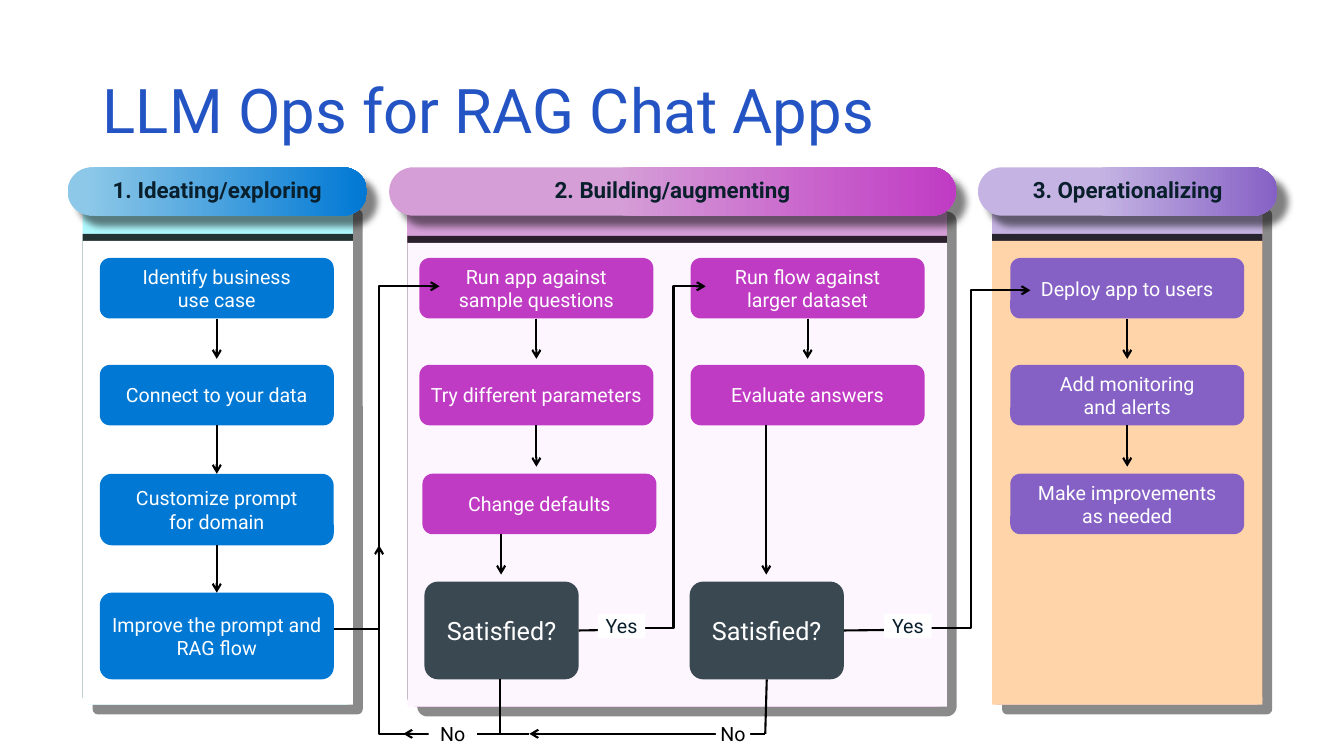
from dataclasses import dataclass

from lxml import etree
from pptx import Presentation
from pptx.dml.color import RGBColor
from pptx.enum import shapes, text
from pptx.oxml import ns
from pptx.util import Inches, Pt

FONT = "Roboto"
BLUE, MAGENTA, PURPLE, SLATE = "0078D4", "C03BC4", "8661C5", "3A4852"
WHITE, BLACK, NAVY = "FFFFFF", "000000", "091F2C"
ROUND = shapes.MSO_SHAPE.ROUNDED_RECTANGLE
BOX_WIDTH, BOX_HEIGHT = 2.32, 0.6
ROWS = (2.56, 3.62, 4.7)


@dataclass
class Panel:
    left: float
    top: float
    width: float
    backing: tuple[str, ...]
    body: str


@dataclass
class Heading:
    left: float
    width: float
    wording: str
    start: float
    colours: tuple[str, str]


@dataclass
class Step:
    key: str
    left: float
    top: float
    lines: tuple[str, ...]
    fill: str
    width: float = BOX_WIDTH
    height: float = BOX_HEIGHT
    corner: float = 0.167
    inset: float = 0
    size: int = 14


@dataclass
class Label:
    left: float
    top: float
    width: float
    wording: str
    colour: str


def rgb(value: str) -> RGBColor:
    return RGBColor.from_string(value)


def add_box(page, kind, left: float, top: float, width: float, height: float,
            fill: str, corner: float | None = None):
    box = page.shapes.add_shape(kind, Inches(left), Inches(top), Inches(width), Inches(height))
    box.shadow.inherit = False
    box.fill.solid()
    box.fill.fore_color.rgb = rgb(fill)
    box.line.fill.background()
    if corner is not None:
        box.adjustments[0] = corner
    return box


def add_shadow(box, alpha: int, blur: float, distance: float, angle: int) -> None:
    effects = box._element.spPr.find(ns.qn("a:effectLst"))
    shadow = etree.SubElement(effects, ns.qn("a:outerShdw"), blurRad=str(Pt(blur)),
                              dist=str(Pt(distance)), dir=str(angle * 60000),
                              algn="ctr", rotWithShape="0")
    colour = etree.SubElement(shadow, ns.qn("a:srgbClr"), val=BLACK)
    etree.SubElement(colour, ns.qn("a:alpha"), val=str(alpha * 1000))


def write(box, lines: tuple[str, ...], size: int, colour: str, bold: bool = False,
          inset: float = 0, spacing: float = 1.0) -> None:
    frame = box.text_frame
    frame.word_wrap = True
    frame.vertical_anchor = text.MSO_ANCHOR.MIDDLE
    frame.margin_left = frame.margin_right = Inches(inset)
    frame.margin_top = frame.margin_bottom = 0
    para = frame.paragraphs[0]
    para.alignment = text.PP_ALIGN.CENTER
    para.line_spacing = spacing
    for index, line in enumerate(lines):
        if index:
            para.add_line_break()
        span = para.add_run()
        span.text = line
        span.font.name, span.font.size, span.font.bold = FONT, Pt(size), bold
        span.font.color.rgb = rgb(colour)


def style_line(line, arrow: bool) -> None:
    line.line.color.rgb = rgb(BLACK)
    line.line.width = Pt(1.5)
    if arrow:
        etree.SubElement(line.line._get_or_add_ln(), ns.qn("a:tailEnd"), type="arrow")


def add_line(page, start: tuple[float, float], end: tuple[float, float], arrow: bool = True,
             source=None, side: int = 2, target=None) -> None:
    line = page.shapes.add_connector(shapes.MSO_CONNECTOR.STRAIGHT,
                                     *map(Inches, start), *map(Inches, end))
    if source is not None:
        line.begin_connect(source, side)
    if target is not None:
        line.end_connect(target, 0)
    style_line(line, arrow)
    etree.SubElement(line._element.spPr, ns.qn("a:effectLst"))


def add_route(page, points: list[tuple[float, float]]) -> None:
    corners = [(Inches(x), Inches(y)) for x, y in points]
    builder = page.shapes.build_freeform(*corners[0])
    builder.add_line_segments(corners[1:], close=False)
    route = builder.convert_to_shape()
    route.shadow.inherit = False
    route.fill.background()
    style_line(route, True)


PANELS = [
    Panel(0.82, 1.98, 2.68, ("B0FAFF",), WHITE),
    Panel(4.04, 2, 5.35, ("D86ECC", "D59ED7"), "FDF6FF"),
    Panel(9.84, 1.98, 2.68, ("F2AA84", "C5B4E3"), "FFD4A8"),
]
HEADINGS = [
    Heading(0.67, 2.97, "1. Ideating/exploring", 0.06, ("8DC8E8", BLUE)),
    Heading(3.86, 5.62, "2. Building/augmenting", 0.4, ("D59ED7", MAGENTA)),
    Heading(9.7, 2.97, "3. Operationalizing", 0.4, ("C5B4E3", PURPLE)),
]
STEPS = [
    Step("identify", 0.99, ROWS[0], ("Identify business", "use case"), BLUE),
    Step("connect", 0.99, ROWS[1], ("Connect to your data",), BLUE),
    Step("customize", 0.99, ROWS[2], ("Customize prompt for domain",), BLUE,
         height=0.71, inset=0.28),
    Step("improve", 0.99, 5.88, ("Improve the prompt and RAG flow",), BLUE,
         height=0.86, corner=0.139, inset=0.02),
    Step("sample", 4.16, ROWS[0], ("Run app against", "sample questions"), MAGENTA),
    Step("parameters", 4.16, ROWS[1], ("Try different parameters",), MAGENTA),
    Step("defaults", 4.19, ROWS[2], ("Change defaults",), MAGENTA),
    Step("larger", 6.85, ROWS[0], ("Run flow against", "larger dataset"), MAGENTA),
    Step("evaluate", 6.85, ROWS[1], ("Evaluate answers",), MAGENTA),
    Step("deploy", 10.02, ROWS[0], ("Deploy app to users",), PURPLE),
    Step("monitor", 10.02, ROWS[1], ("Add monitoring", "and alerts"), PURPLE),
    Step("improvements", 10.02, ROWS[2], ("Make improvements", "as needed"), PURPLE),
    *(Step(key, left, 5.77, ("Satisfied?",), SLATE, 1.53, 0.97, 0.139, size=18)
      for key, left in (("first check", 4.21), ("second check", 6.84))),
]
LABELS = [
    Label(4.25, 7.16, 0.48, "No", BLACK),
    Label(7.1, 7.16, 0.34, "No", BLACK),
    Label(5.93, 6.09, 0.47, "Yes", NAVY),
    Label(8.77, 6.09, 0.47, "Yes", NAVY),
]


def main() -> None:
    deck = Presentation()
    deck.slide_width, deck.slide_height = Inches(13.33), Inches(7.5)
    page = deck.slides.add_slide(deck.slide_layouts[5])

    # Title
    title = page.shapes.title
    title.left, title.top, title.width, title.height = map(Inches, (0.92, 0.4, 11.5, 1.45))
    write(title, ("LLM Ops for RAG Chat Apps",), 44, "2454C3", inset=0.1, spacing=0.9)
    title.text_frame.auto_size = text.MSO_AUTO_SIZE.NONE
    title.text_frame.paragraphs[0].alignment = text.PP_ALIGN.LEFT

    # Stage panels
    for panel in PANELS:
        for index, fill in enumerate(panel.backing):
            back = add_box(page, ROUND, panel.left, panel.top, panel.width, 5.01, fill, 0.02)
            if index == 0:
                add_shadow(back, 45, 0, 10, 45)
        body = add_box(page, shapes.MSO_SHAPE.ROUND_2_SAME_RECTANGLE, panel.left,
                       panel.top + 0.41, panel.width, 4.6, panel.body, 0)
        add_shadow(body, 80, 0, 5, 270)

    # Steps and checks
    boxes = {}
    for step in STEPS:
        box = add_box(page, ROUND, step.left, step.top, step.width, step.height,
                      step.fill, step.corner)
        write(box, step.lines, step.size, WHITE, inset=step.inset)
        boxes[step.key] = box

    # Arrows down each column
    for key, x, end in (("identify", 2.15, 3.56), ("sample", 5.32, 3.56),
                        ("parameters", 5.32, 4.63), ("larger", 8.01, 3.56),
                        ("deploy", 11.18, 3.56), ("monitor", 11.18, 4.63)):
        add_line(page, (x, end), (x, end), source=boxes[key])
    for key, following in (("connect", "customize"), ("customize", "improve")):
        add_line(page, (2.15, 4.2), (2.15, 4.7), source=boxes[key], target=boxes[following])
    add_line(page, (4.97, 5.3), (4.97, 5.7))
    add_line(page, (7.6, 4.22), (7.6, 5.7))

    # Routes between stages
    for key, x in (("first check", 6.02), ("second check", 8.77)):
        add_line(page, (x, 6.25), (x, 6.25), False, boxes[key], 3)
    add_route(page, [(4.96, 6.74), (4.96, 7.28), (3.76, 7.28), (3.76, 5.41)])
    add_route(page, [(3.31, 6.24), (3.76, 6.24), (3.76, 2.84), (4.36, 2.84)])
    add_route(page, [(6.29, 6.23), (6.68, 6.23), (6.68, 2.84), (7, 2.84)])
    add_route(page, [(8.92, 6.23), (9.63, 6.23), (9.63, 2.88), (10.22, 2.88)])
    add_line(page, (7.59, 6.74), (7.59, 7.28), False, boxes["second check"])
    add_line(page, (7.59, 7.28), (5.25, 7.28))
    add_line(page, (5.25, 7.28), (4.96, 7.28), False)
    add_line(page, (4.3, 7.28), (4, 7.28))
    for label in LABELS:
        box = add_box(page, shapes.MSO_SHAPE.RECTANGLE, label.left, label.top,
                      label.width, 0.24, WHITE)
        write(box, (label.wording,), 14, label.colour)

    # Stage headings
    for heading in HEADINGS:
        pill = add_box(page, ROUND, heading.left, 1.66, heading.width, 0.48, WHITE, 0.5)
        pill.fill.gradient()
        pill.fill.gradient_angle = 0
        for stop, place, colour in zip(pill.fill.gradient_stops, (heading.start, 1),
                                       heading.colours):
            stop.position, stop.color.rgb = place, rgb(colour)
        add_shadow(pill, 50, 5, 10, 45)
        write(pill, (heading.wording,), 16, NAVY, True, spacing=0.9)

    deck.save("out.pptx")


if __name__ == "__main__":
    main()
